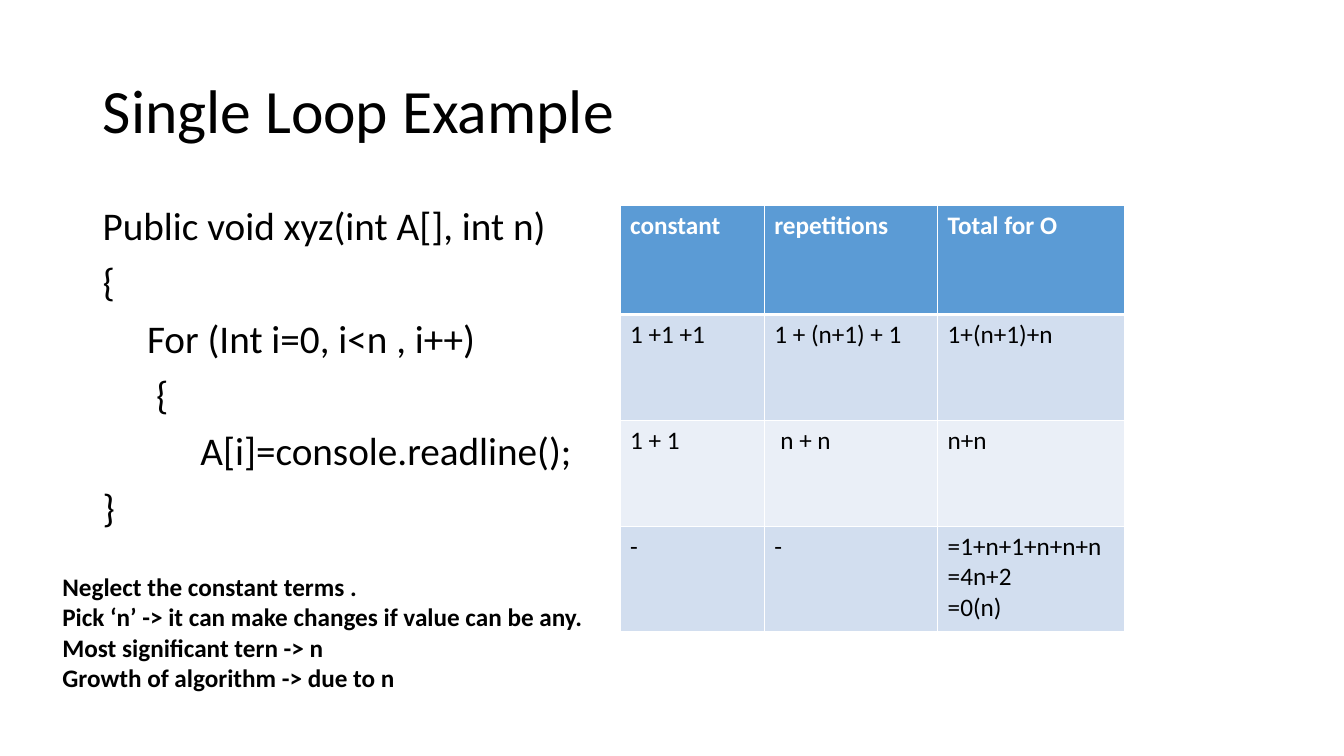
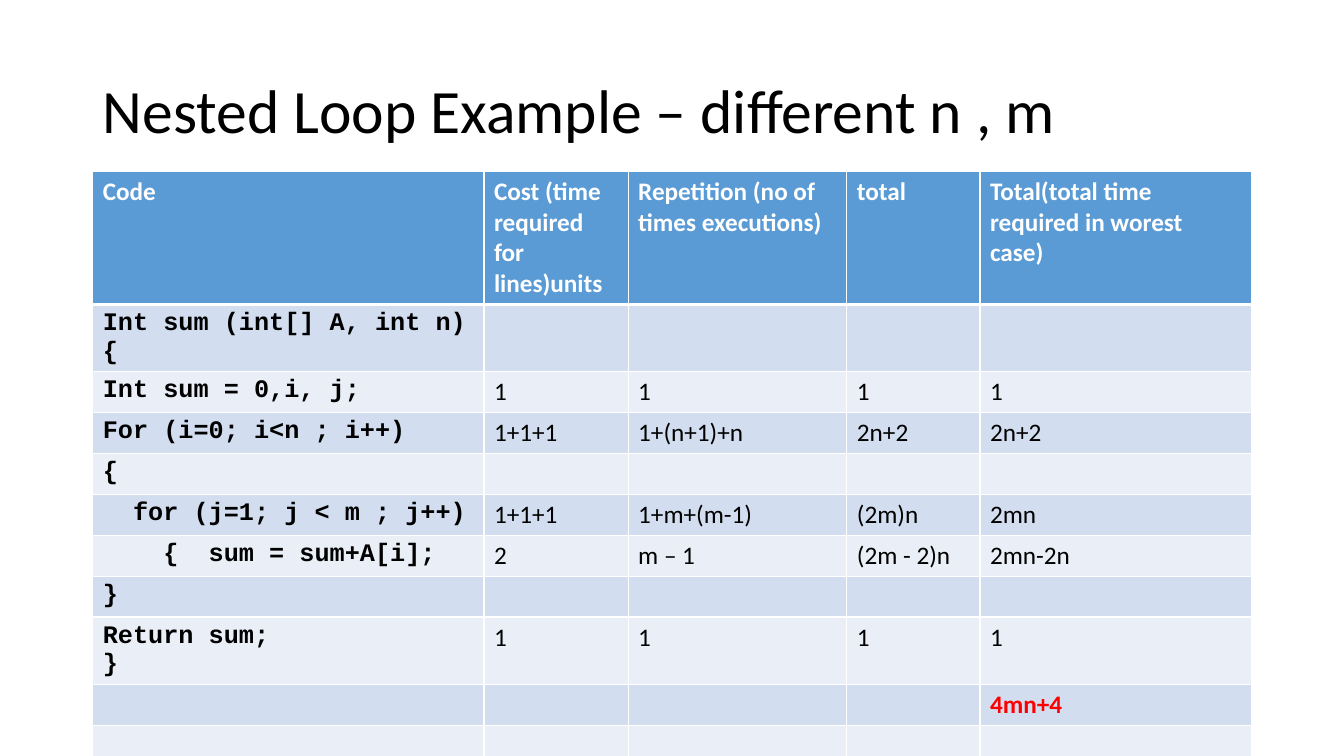
from lxml import etree
from pptx import Presentation
from pptx.dml.color import RGBColor
from pptx.enum.text import MSO_ANCHOR, MSO_AUTO_SIZE, PP_ALIGN
from pptx.oxml.ns import qn
from pptx.util import Emu, Pt

LEFT = PP_ALIGN.LEFT
MIDDLE = MSO_ANCHOR.MIDDLE
TOP = MSO_ANCHOR.TOP
FIT_NONE = MSO_AUTO_SIZE.NONE
FIT_SHAPE = MSO_AUTO_SIZE.SHAPE_TO_FIT_TEXT

EMU_PER_PX = 9144
SLIDE_SIZE = (1333, 750)
TITLE_BOX = (92, 40, 1150, 145)
BLACK, WHITE, RED = "000000", "FFFFFF", "FF0000"
HEADER_FILL = "5B9BD5"
BAND_FILLS = ("D2DEEF", "EAEFF7")
THIN, THICK = 1, 3

BASE = {"name": "Calibri", "size": Pt(18), "bold": False, "color": BLACK}
TITLE = {**BASE, "size": Pt(44)}
LISTING = {**BASE, "size": Pt(28)}
STRONG = {**BASE, "bold": True}
HEADER = {**STRONG, "color": WHITE}
CODE = {**STRONG, "name": "Courier New"}
RESULT = {**STRONG, "color": RED}

TIGHT = {"alignment": LEFT, "line_spacing": 0.9, "space_before": Pt(0)}
LISTING_SPACING = {**TIGHT, "space_before": Pt(10)}
PLAIN_SPACING = {"alignment": LEFT}

LOOP_LISTING = [
    "Public void xyz(int A[], int n)",
    "{",
    (44, "For (Int i=0, i<n , i++)"),
    (53, "{"),
    (97, "A[i]=console.readline();"),
    "}",
]
LOOP_NOTES = [
    "Neglect the constant terms .",
    "Pick ‘n’ -> it can make changes if value can be any.",
    "Most significant tern -> n",
    "Growth of algorithm -> due to n",
]
LOOP_COSTS = [
    ["constant", "repetitions", "Total for O"],
    ["1 +1 +1", "1 + (n+1) + 1", "1+(n+1)+n"],
    ["1 + 1", [(6, "n + n")], "n+n"],
    ["-", "-", ["=1+n+1+n+n+n", "=4n+2", "=0(n)"]],
]
NESTED_COSTS = [
    ["Code", "Cost (time required for lines)units", "Repetition (no of times executions)",
     "total", "Total(total time required in worest case)"],
    [["Int sum (int[] A, int n)", "{"], "", "", "", ""],
    ["Int sum = 0,i, j;", "1", "1", "1", "1"],
    ["For (i=0; i<n ; i++)", "1+1+1", "1+(n+1)+n", "2n+2", "2n+2"],
    ["{", "", "", "", ""],
    [[(30, "for (j=1; j < m ; j++)")], "1+1+1", "1+m+(m-1)", "(2m)n", "2mn"],
    [[(60, "{  sum = sum+A[i];")], "2", "m – 1", "(2m - 2)n", "2mn-2n"],
    ["}", "", "", "", ""],
    [["Return sum;", "}"], "1", "1", "1", "1"],
    ["", "", "", "", "4mn+4"],
    ["", "", "", "", ""],
]


def px(length):
    """Turn a length in px into EMU."""
    return Emu(length * EMU_PER_PX)


def rgb(color):
    """Turn a hex string into a colour."""
    return RGBColor.from_string(color)


def apply(target, values):
    """Set each named attribute of the target."""
    for name, value in values.items():
        if name == "color":
            target.color.rgb = rgb(value)
        else:
            setattr(target, name, value)


def write_lines(frame, lines, style, spacing):
    """Write one paragraph per line; a line may be an (indent, words) pair."""
    for index, line in enumerate(lines):
        indent, words = line if isinstance(line, tuple) else (0, line)
        paragraph = frame.paragraphs[0] if index == 0 else frame.add_paragraph()
        apply(paragraph, spacing)
        if indent:
            paragraph._p.get_or_add_pPr().set("marL", str(px(indent)))
        if words:
            run = paragraph.add_run()
            run.text = words
            apply(run.font, style)
        else:
            apply(paragraph.font, style)


def add_titled_slide(deck, heading):
    """Add a title-only slide with the shared title style."""
    slide = deck.slides.add_slide(deck.slide_layouts[5])
    title = slide.shapes.title
    apply(title, dict(zip(("left", "top", "width", "height"), map(px, TITLE_BOX))))
    apply(title.text_frame, {"vertical_anchor": MIDDLE, "word_wrap": True, "auto_size": FIT_NONE})
    write_lines(title.text_frame, [heading], TITLE, TIGHT)
    return slide


def add_text_block(slide, box, lines, style, spacing, wrap, fit):
    """Place a block of lines in the given box."""
    frame = slide.shapes.add_textbox(*map(px, box)).text_frame
    apply(frame, {"word_wrap": wrap, "auto_size": fit, "vertical_anchor": TOP})
    write_lines(frame, lines, style, spacing)


def set_borders(cell, widths):
    """Draw white borders of the given point widths on a cell."""
    properties = cell._tc.get_or_add_tcPr()
    for side, width in widths.items():
        line = etree.SubElement(properties, qn(f"a:ln{side}"), w=str(Pt(width)))
        fill = etree.SubElement(line, qn("a:solidFill"))
        etree.SubElement(fill, qn("a:srgbClr"), val=WHITE)


def add_cost_table(slide, origin, column_widths, row_heights, rows, body_style):
    """Place a banded table; body_style maps row and column to a text style."""
    size = (sum(column_widths), sum(row_heights))
    table = slide.shapes.add_table(
        len(rows), len(column_widths), *map(px, origin + size)).table
    table.horz_banding = False
    for column, width in zip(table.columns, column_widths):
        column.width = px(width)
    for r, (row, height) in enumerate(zip(rows, row_heights)):
        table.rows[r].height = px(height)
        fill = BAND_FILLS[(r - 1) % 2] if r else HEADER_FILL
        borders = {"L": THIN, "R": THIN,
                   "T": THICK if r == 1 else THIN,
                   "B": THICK if r == 0 else THIN}
        for c, content in enumerate(row):
            cell = table.cell(r, c)
            set_borders(cell, borders)
            cell.fill.solid()
            cell.fill.fore_color.rgb = rgb(fill)
            lines = content if isinstance(content, list) else [content]
            style = body_style(r, c) if r else HEADER
            write_lines(cell.text_frame, lines, style, PLAIN_SPACING)


def nested_style(row, column):
    """Choose the text style of a body cell in the nested loop table."""
    if row == len(NESTED_COSTS) - 2 and column == 4:
        return RESULT
    return CODE if column == 0 and row < len(NESTED_COSTS) - 2 else BASE


def build_single_loop(deck):
    """Build the single loop slide."""
    slide = add_titled_slide(deck, "Single Loop Example")
    add_text_block(slide, (92, 200, 1150, 476), LOOP_LISTING, LISTING,
                   LISTING_SPACING, True, FIT_NONE)
    add_cost_table(slide, (615, 204), (143, 172, 185), (108, 105, 105, 105),
                   LOOP_COSTS, lambda row, column: BASE)
    add_text_block(slide, (52, 562, 541, 131), LOOP_NOTES, STRONG,
                   PLAIN_SPACING, False, FIT_SHAPE)


def build_nested_loop(deck):
    """Build the nested loop slide."""
    slide = add_titled_slide(deck, "Nested Loop Example – different n , m")
    add_cost_table(slide, (92, 170), (388, 143, 217, 132, 269),
                   [40] * len(NESTED_COSTS), NESTED_COSTS, nested_style)


def main():
    """Build and save the deck."""
    deck = Presentation()
    deck.slide_width, deck.slide_height = map(px, SLIDE_SIZE)
    build_single_loop(deck)
    build_nested_loop(deck)
    deck.save("out.pptx")


if __name__ == "__main__":
    main()
